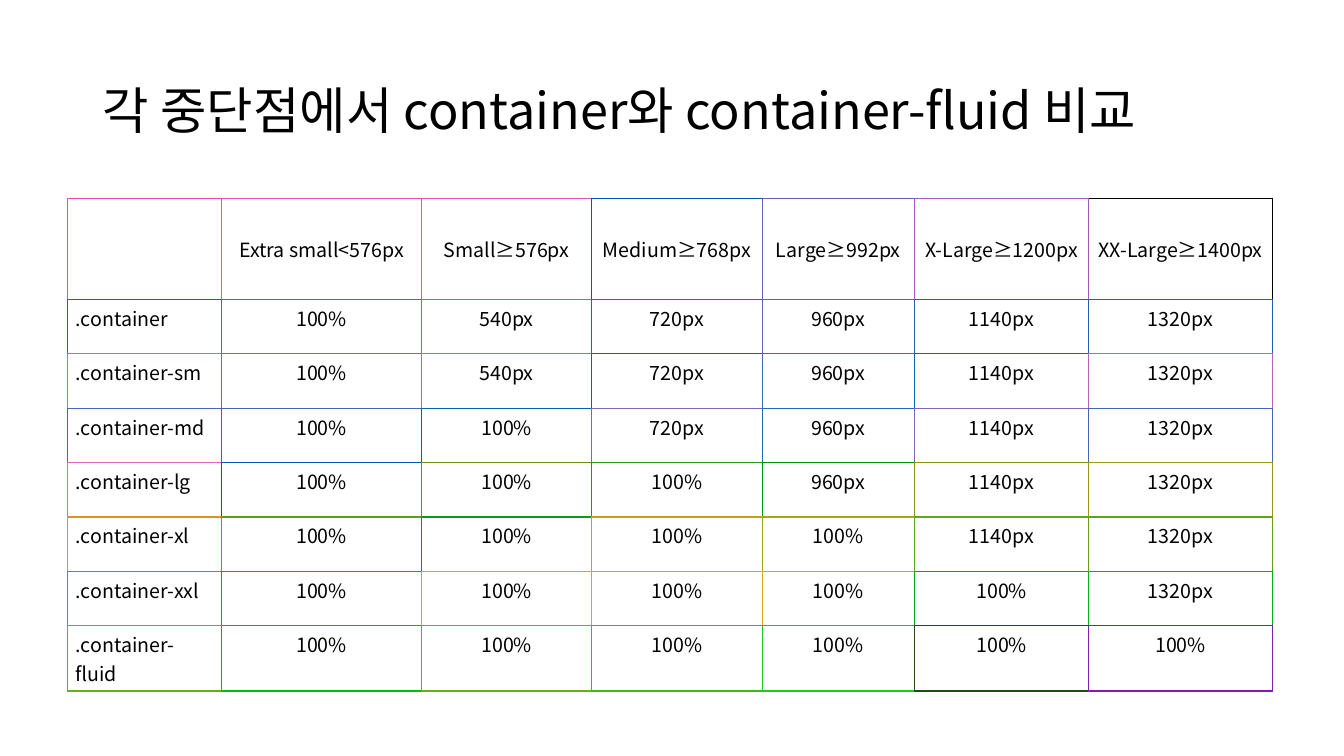
"""Build a slide comparing container widths at each breakpoint."""

import dataclasses

import lxml.etree
import pptx
import pptx.dml.color
import pptx.enum.text
import pptx.oxml.ns
import pptx.util

Inches = pptx.util.Inches
FONT = "Noto Sans CJK KR"
TITLE = "각 중단점에서 container와 container-fluid 비교"
COLORS = {
    "text": "000000",
    "cell": "FFFFFF",
    "last header left": "A05BB8",
    "": "E051B8 E055B8 E055B8 0055B8 6060B8 A05BB8 000000",
    ".container": "205EB8 605BB8 A060B8 4059B8 6060B8 2061B8 2061B8",
    ".container-sm": "E05BB8 8062B8 C061B8 0065B8 4067B8 0067B8 C062B8",
    ".container-md": "4068B8 4065B8 0062B8 8064B8 2069B8 8064B8 4066B8",
    ".container-lg": "E068B8 0053B8 609316 209616 009216 809816 A09316",
    ".container-xl": "E09216 609D16 009F16 C0A316 A0A616 60A616 60A316",
    ".container-xxl": "60A316 20A216 E0A316 E0A516 E0A516 00A716 00B016",
    ".container-fluid": "60B316 00B816 60B316 40B816 20C716 204B16 801EAF",
}
CLASSES = [
    ".container", ".container-sm", ".container-md", ".container-lg",
    ".container-xl", ".container-xxl", ".container-fluid",
]
LABEL_WIDTH, HEADER_HEIGHT, ROW_HEIGHT = 1.53, 1.0, 0.54


@dataclasses.dataclass(frozen=True)
class Breakpoint:
    label: str
    column_width: float
    fixed_width: str
    fixed_classes: int

    def value(self, class_index: int) -> str:
        return self.fixed_width if class_index < self.fixed_classes else "100%"


BREAKPOINTS = [
    Breakpoint("Extra small<576px", 1.98, "100%", 0),
    Breakpoint("Small≥576px", 1.69, "540px", 2),
    Breakpoint("Medium≥768px", 1.69, "720px", 3),
    Breakpoint("Large≥992px", 1.51, "960px", 4),
    Breakpoint("X-Large≥1200px", 1.73, "1140px", 5),
    Breakpoint("XX-Large≥1400px", 1.82, "1320px", 6),
]


def format_paragraph(paragraph, size: float, alignment) -> None:
    paragraph.alignment = alignment
    font = paragraph.font
    font.name, font.size = FONT, pptx.util.Pt(size)
    font.color.rgb = pptx.dml.color.RGBColor.from_string(COLORS["text"])
    east_asian = lxml.etree.SubElement(font._element, pptx.oxml.ns.qn("a:ea"))
    east_asian.set("typeface", FONT)


def add_border(cell, side: str, color: str) -> None:
    properties = cell._tc.get_or_add_tcPr()
    line = lxml.etree.SubElement(properties, pptx.oxml.ns.qn(f"a:ln{side}"))
    line.set("w", str(pptx.util.Pt(1)))
    fill = lxml.etree.SubElement(line, pptx.oxml.ns.qn("a:solidFill"))
    lxml.etree.SubElement(fill, pptx.oxml.ns.qn("a:srgbClr")).set("val", color)


def edge_colors(row: int, column: int) -> dict[str, str]:
    """Give a cell its own left and top colour, and its neighbours' right and bottom."""
    grid = [COLORS[name].split() for name in ["", *CLASSES]]
    last_row, last_column = len(grid) - 1, len(grid[0]) - 1
    edges = {
        "L": grid[row][column],
        "R": grid[row][min(column + 1, last_column)],
        "T": grid[row][column],
        "B": grid[min(row + 1, last_row)][column],
    }
    if row == 0 and column == last_column:
        edges["L"] = COLORS["last header left"]
    elif row == 0 and column == last_column - 1:
        edges["R"] = COLORS["last header left"]
    return edges


def fill_cell(cell, text: str, row: int, column: int) -> None:
    cell.text = text
    cell.margin_left = cell.margin_right = Inches(0.08)
    cell.margin_top = cell.margin_bottom = Inches(0.04)
    anchors = pptx.enum.text.MSO_ANCHOR
    cell.vertical_anchor = anchors.TOP if row else anchors.MIDDLE
    alignments = pptx.enum.text.PP_ALIGN
    alignment = alignments.CENTER if column else alignments.LEFT
    format_paragraph(cell.text_frame.paragraphs[0], 14, alignment)
    for side, color in edge_colors(row, column).items():
        add_border(cell, side, color)
    cell.fill.solid()
    cell.fill.fore_color.rgb = pptx.dml.color.RGBColor.from_string(COLORS["cell"])


def add_title(slide) -> None:
    title = slide.shapes.title
    title.left, title.top = Inches(0.92), Inches(0.4)
    title.width, title.height = Inches(11.5), Inches(1.45)
    frame = title.text_frame
    frame.text = TITLE
    frame.word_wrap = True
    frame.auto_size = pptx.enum.text.MSO_AUTO_SIZE.NONE
    frame.vertical_anchor = pptx.enum.text.MSO_ANCHOR.MIDDLE
    frame.paragraphs[0].line_spacing = 0.9
    format_paragraph(frame.paragraphs[0], 36, pptx.enum.text.PP_ALIGN.LEFT)


def add_width_table(slide) -> None:
    rows = [["", *(point.label for point in BREAKPOINTS)]]
    rows += [
        [name, *(point.value(index) for point in BREAKPOINTS)]
        for index, name in enumerate(CLASSES)
    ]
    widths = [LABEL_WIDTH, *(point.column_width for point in BREAKPOINTS)]
    heights = [HEADER_HEIGHT] + [ROW_HEIGHT] * len(CLASSES)
    table = slide.shapes.add_table(
        len(rows), len(widths), Inches(0.67), Inches(1.97),
        Inches(sum(widths)), Inches(sum(heights)),
    ).table
    table.first_row = table.horz_banding = False
    for column, width in zip(table.columns, widths):
        column.width = Inches(width)
    for row, height in zip(table.rows, heights):
        row.height = Inches(height)
    for row_index, texts in enumerate(rows):
        for column_index, text in enumerate(texts):
            cell = table.cell(row_index, column_index)
            fill_cell(cell, text, row_index, column_index)


def main() -> None:
    presentation = pptx.Presentation()
    presentation.slide_width = Inches(13.33)
    presentation.slide_height = Inches(7.5)
    slide = presentation.slides.add_slide(presentation.slide_layouts[5])
    add_title(slide)
    add_width_table(slide)
    presentation.save("out.pptx")


if __name__ == "__main__":
    main()
